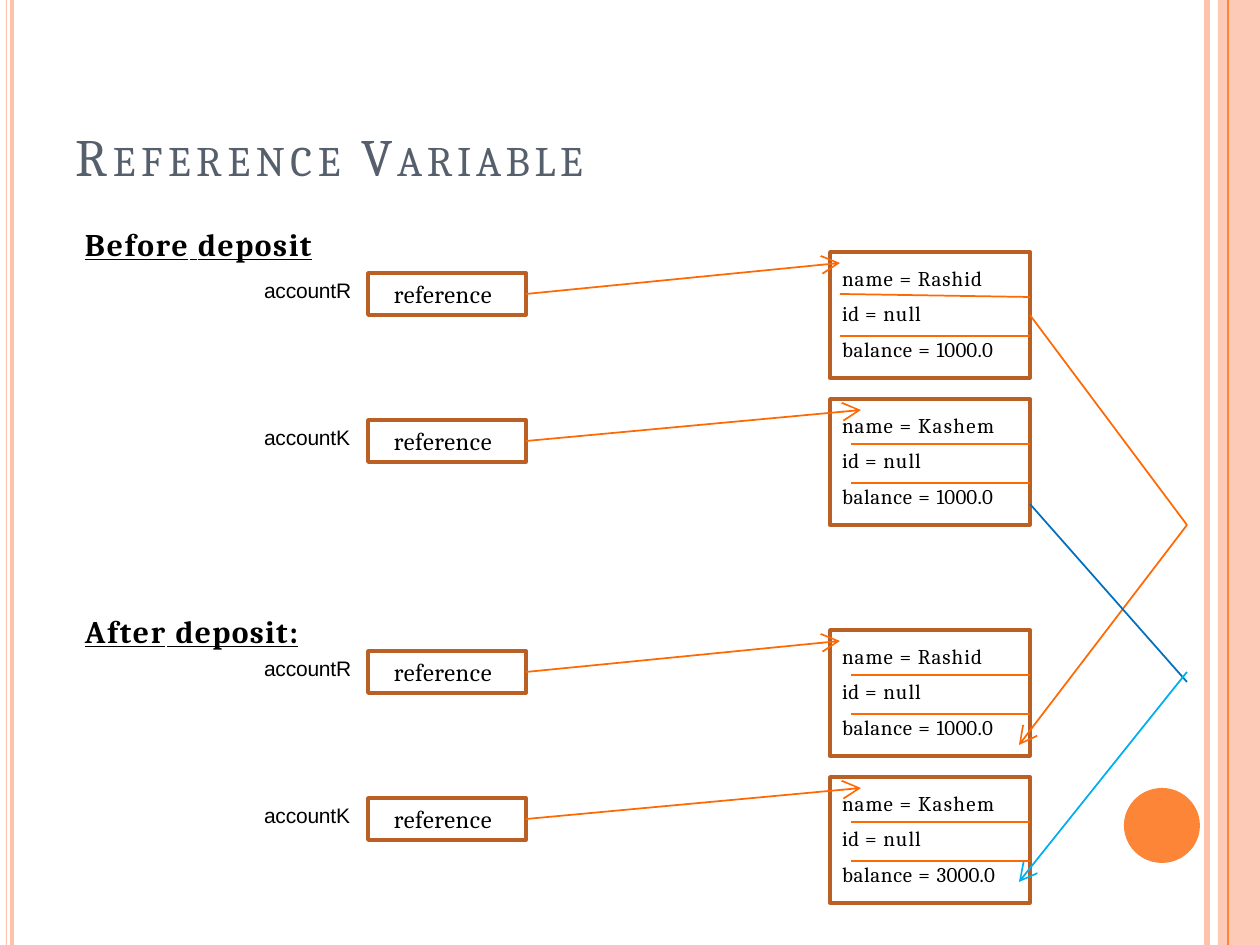
from pptx import Presentation
from pptx.dml.color import RGBColor
from pptx.enum.shapes import MSO_CONNECTOR, MSO_SHAPE
from pptx.enum.text import MSO_ANCHOR, MSO_AUTO_SIZE, PP_ALIGN
from pptx.oxml.ns import qn
from pptx.util import Pt
from lxml.etree import SubElement

EMU_PER_PX = 914400 / 126

BLACK = RGBColor(0x00, 0x00, 0x00)
SLATE = RGBColor(0x56, 0x5F, 0x6C)
PEACH = RGBColor(0xFD, 0xC3, 0xAD)
ORANGE = RGBColor(0xFD, 0x85, 0x37)
ARROW_ORANGE = RGBColor(0xFF, 0x69, 0x03)
BROWN = RGBColor(0xBA, 0x60, 0x25)
BLUE = RGBColor(0x00, 0x6F, 0xC0)
CYAN = RGBColor(0x00, 0xAF, 0xEF)

OBJECT_LEFT, OBJECT_WIDTH, OBJECT_HEIGHT = 830, 200, 126
OBJECT_RIGHT = OBJECT_LEFT + OBJECT_WIDTH


def px(length):
    return round(length * EMU_PER_PX)


def write(shape, runs, size, font_name="Cambria", color=BLACK, left=0, top=1):
    """Fill a shape with one paragraph of (text, letter spacing) runs."""
    frame = shape.text_frame
    frame.word_wrap = False
    frame.auto_size = MSO_AUTO_SIZE.NONE
    frame.vertical_anchor = MSO_ANCHOR.TOP
    frame.margin_left, frame.margin_top = px(left), px(top)
    frame.margin_right = frame.margin_bottom = 0
    paragraph = frame.paragraphs[0]
    paragraph.alignment = PP_ALIGN.LEFT
    paragraph.font.name = font_name
    paragraph.font.size = Pt(size)
    paragraph.font.color.rgb = color
    for text, spacing in runs:
        run = paragraph.add_run()
        run.text = text
        run.font._element.set("spc", str(round(spacing * 100)))
    return paragraph


def add_text(slide, x, y, width, height, runs, size, **style):
    box = slide.shapes.add_textbox(px(x), px(y), px(width), px(height))
    return write(box, runs, size, **style)


def add_block(slide, kind, x, y, width, height, color):
    block = slide.shapes.add_shape(kind, px(x), px(y), px(width), px(height))
    block.shadow.inherit = False
    block.fill.solid()
    block.fill.fore_color.rgb = color
    block.line.fill.background()
    return block


def add_frame(slide, x, y, width, height):
    frame = slide.shapes.add_shape(
        MSO_SHAPE.RECTANGLE, px(x), px(y), px(width), px(height))
    frame.shadow.inherit = False
    frame.fill.background()
    frame.line.color.rgb = BROWN
    frame.line.width = Pt(2)
    return frame


def add_line(slide, start, end, color=ARROW_ORANGE, weight=1, arrow=False):
    line = slide.shapes.add_connector(
        MSO_CONNECTOR.STRAIGHT, *map(px, start + end))
    line.line.color.rgb = color
    line.line.width = Pt(weight)
    if arrow:
        SubElement(line.line._get_or_add_ln(), qn("a:tailEnd"),
                   type="arrow", w="lg", len="lg")
    SubElement(line._element.spPr, qn("a:effectLst"))
    return line


def add_theme_bars(slide):
    add_line(slide, (1207, 0), (1207, 945), PEACH, 3)
    add_block(slide, MSO_SHAPE.OVAL, 1124, 788, 76, 75, ORANGE)
    for x, width in ((6, 1), (10, 4)):
        add_block(slide, MSO_SHAPE.RECTANGLE, x, 0, width, 945, PEACH)
    band = add_block(slide, MSO_SHAPE.RECTANGLE, 1218, 0, 42, 945, PEACH)
    band_color = band._element.spPr.find(qn("a:solidFill"))[0]
    SubElement(band_color, qn("a:alpha"), val="87000")
    add_line(slide, (1228, 0), (1228, 945), ORANGE, 0.75)


def add_title(slide):
    title = slide.shapes.title
    title.left, title.top = px(74), px(123)
    title.width, title.height = px(536), px(67)
    runs = (("R", 3.2), ("EFERENCE ", 3.2), ("V", 2.6), ("ARIABLE", 2.6))
    paragraph = write(title, runs, 24, color=SLATE, left=1)
    # Small capitals: the initials are larger than the rest
    for run, size in zip(paragraph.runs, (30, 24, 30, 24)):
        run.font.size = Pt(size)


def add_heading(slide, y, runs):
    paragraph = add_text(slide, 84, y, 271, 42, runs, 18, left=1)
    paragraph.font.bold = True
    paragraph.font.underline = True


def add_account(slide, top, variable, owner, balance, tip_x,
                divider_x=851, divider_y=45):
    """Draw a variable, its reference and the object it points to."""
    add_text(slide, 263, top + 25, 92, 29, [(variable, -0.1)], 12,
             font_name="Arial", left=1)
    reference = add_frame(slide, 368, top + 21, 158, 42)
    write(reference, [("reference", 0.3)], 14, left=26, top=6)
    account = add_frame(slide, OBJECT_LEFT, top, OBJECT_WIDTH, OBJECT_HEIGHT)
    pointer = add_line(slide, (526, top + 42), (tip_x, top + 11), arrow=True)
    pointer.begin_connect(reference, 3)

    # Fields of the object
    fields = (
        (13, (("name = ", 0.6), owner)),
        (48, (("id ", 0.3), ("= null", 0.6))),
        (84, (("balance ", 0.4), ("= ", 0.6), (balance, 0.1))),
    )
    for offset, runs in fields:
        add_text(slide, 831, top + offset, 197, 29, runs, 12, left=11)
    for left_y, right_y in ((divider_y, 45), (84, 84)):
        add_line(slide, (divider_x, top + left_y),
                 (OBJECT_RIGHT, top + right_y))
    return account


def main():
    presentation = Presentation()
    presentation.slide_width, presentation.slide_height = px(1260), px(945)
    slide = presentation.slides.add_slide(presentation.slide_layouts[5])

    add_theme_bars(slide)
    add_title(slide)
    add_heading(slide, 224, (("Before", 1.1), (" ", 0.7), ("deposit", 0.9)))
    add_heading(slide, 611, (("After", 1.1), (" deposit:", 0.8)))

    # Accounts before and after the deposit
    rashid, kashem = ("Rashid", 0.6), ("Kashem", 0.8)
    rashid_before = add_account(slide, 252, "accountR", rashid, "1000.0", 840,
                                divider_x=840, divider_y=42)
    add_account(slide, 399, "accountK", kashem, "1000.0", 861)
    add_account(slide, 630, "accountR", rashid, "1000.0", 840)
    add_account(slide, 777, "accountK", kashem, "3000.0", 861)

    # Links from each object to its later state
    rashid_link = add_line(slide, (OBJECT_RIGHT, 315), (1187, 525))
    rashid_link.begin_connect(rashid_before, 3)
    add_line(slide, (1187, 525), (1019, 745), arrow=True)
    add_line(slide, (OBJECT_RIGHT, 504), (1187, 682), BLUE)
    add_line(slide, (1187, 672), (1019, 882), CYAN, arrow=True)

    presentation.save("out.pptx")


if __name__ == "__main__":
    main()
